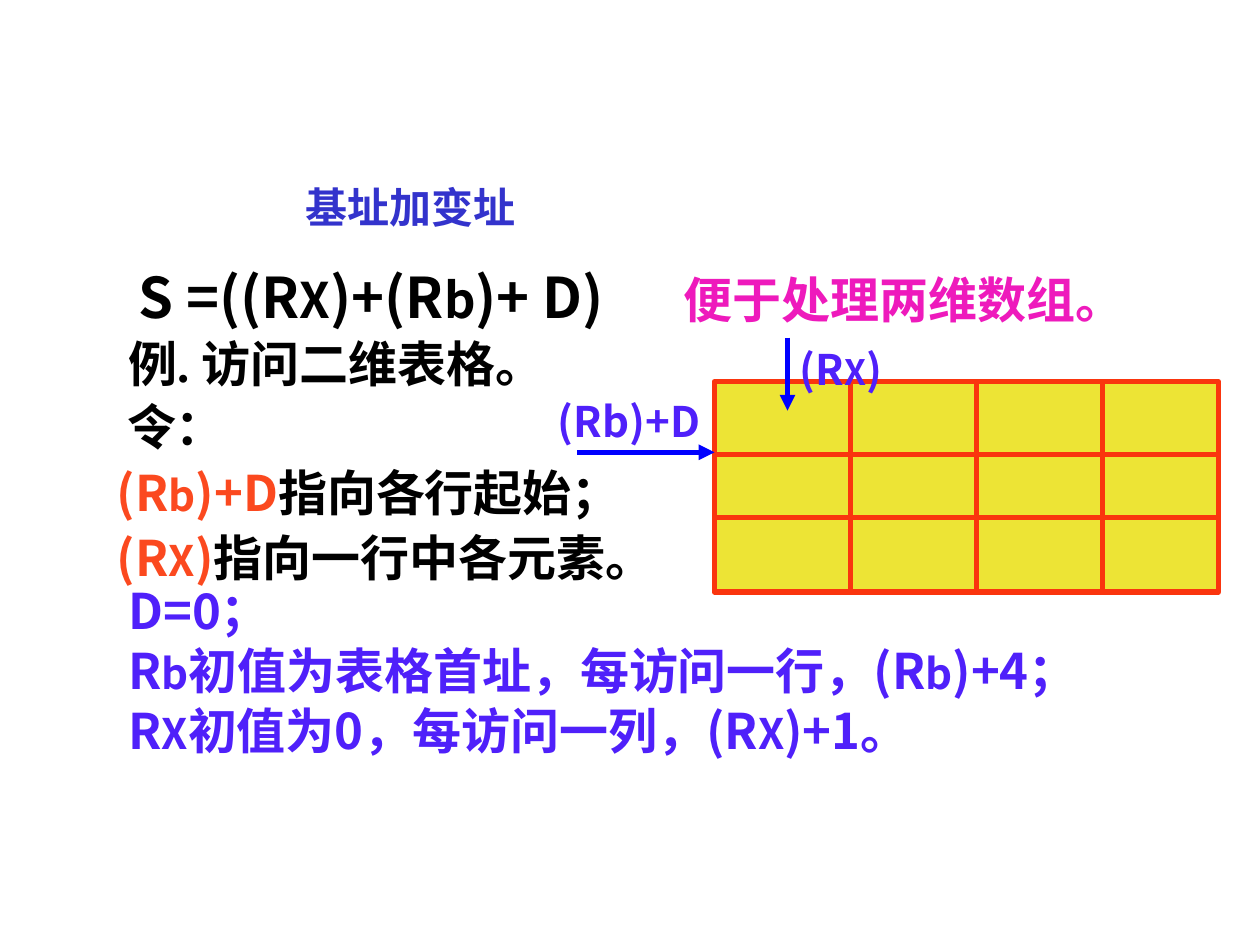
"""Build the slide on base-plus-index addressing of a two-dimensional table."""
from lxml import etree
from pptx import Presentation
from pptx.dml.color import RGBColor
from pptx.enum.shapes import MSO_CONNECTOR, MSO_SHAPE
from pptx.enum.text import MSO_AUTO_SIZE
from pptx.oxml.ns import qn
from pptx.util import Inches, Pt

STRAIGHT = MSO_CONNECTOR.STRAIGHT
RECTANGLE = MSO_SHAPE.RECTANGLE
GROW = MSO_AUTO_SIZE.SHAPE_TO_FIT_TEXT

BLACK = RGBColor(0x00, 0x00, 0x00)
MAGENTA = RGBColor(0xEE, 0x1A, 0xBC)
ORANGE = RGBColor(0xFB, 0x49, 0x1F)
VIOLET = RGBColor(0x4F, 0x20, 0xFA)
INDIGO = RGBColor(0x33, 0x33, 0xCC)
BLUE = RGBColor(0x00, 0x00, 0xFF)
RED = RGBColor(0xFA, 0x35, 0x0E)
YELLOW = RGBColor(0xED, 0xE4, 0x35)

SANS = "Noto Sans CJK SC"
SERIF = "Times New Roman"

TITLE = [[("基址加变址", 24, INDIGO)]]
FORMULA = [[("S =((R", 32, BLACK), ("X", 28, BLACK), (")+(R", 32, BLACK),
            ("b", 28, BLACK), (")+ D)", 32, BLACK)]]
BENEFIT = [[("便于处理两维数组。", 28, MAGENTA)]]
EXAMPLE = [[("例. 访问二维表格。", 28, BLACK)]]
POINTERS = [
    [("令：", 28, BLACK)],
    [("(R", 28, ORANGE), ("b", 24, ORANGE), (")+D", 28, ORANGE),
     ("指向各行起始；", 28, BLACK)],
    [("(R", 28, ORANGE), ("X", 24, ORANGE), (")", 28, ORANGE),
     ("指向一行中各元素。", 28, BLACK)],
]
STEPS = [
    [("D=0；", 28, VIOLET)],
    [("R", 28, VIOLET), ("b", 24, VIOLET),
     ("初值为表格首址，每访问一行，(R", 28, VIOLET),
     ("b", 24, VIOLET), (")+4；", 28, VIOLET)],
    [("R", 28, VIOLET), ("X", 24, VIOLET),
     ("初值为0，每访问一列，(R", 28, VIOLET),
     ("X", 24, VIOLET), (")+1。", 28, VIOLET)],
]
ROW_LABEL = [[("(Rb)+D", 24, VIOLET)]]
COLUMN_LABEL = [[("(R", 24, VIOLET), ("X", 20, VIOLET), (")", 24, VIOLET)]]

GRID_LEFT, GRID_TOP, GRID_WIDTH, GRID_HEIGHT = 5.67, 3.03, 4, 1.67
ROW_LINES = (3.61, 4.11)
COLUMN_LINES = (6.75, 7.75, 8.75)


def add_text(shapes, box, paragraphs, font, spacing=1.0, wrap=True):
    sp = shapes.add_textbox(*map(Inches, box))
    tf = sp.text_frame
    tf.word_wrap = wrap
    tf.auto_size = GROW
    for i, runs in enumerate(paragraphs):
        p = tf.add_paragraph() if i else tf.paragraphs[0]
        p.line_spacing = spacing
        p.space_before = Pt(17.5 if i else 0)
        for text, size, color in runs:
            r = p.add_run()
            r.text = text
            r.font.size = Pt(size)
            r.font.bold = True
            r.font.name = font
            r.font.color.rgb = color
            ea = etree.SubElement(r.font._element, qn("a:ea"))
            ea.set("typeface", SANS)
    return tf


def add_line(shapes, x1, y1, x2, y2, color, arrow=False):
    line = shapes.add_connector(STRAIGHT, *map(Inches, (x1, y1, x2, y2)))
    line.line.color.rgb = color
    line.line.width = Pt(3)
    if arrow:
        etree.SubElement(line.line._get_or_add_ln(), qn("a:tailEnd"), type="triangle")
    etree.SubElement(line._element.spPr, qn("a:effectLst"))


def add_grid(shapes):
    sp = shapes.add_shape(RECTANGLE, *map(
        Inches, (GRID_LEFT, GRID_TOP, GRID_WIDTH, GRID_HEIGHT)))
    sp.shadow.inherit = False
    sp.fill.solid()
    sp.fill.fore_color.rgb = YELLOW
    sp.line.color.rgb = RED
    sp.line.width = Pt(3)
    for y in ROW_LINES:
        add_line(shapes, GRID_LEFT, y, GRID_LEFT + GRID_WIDTH, y, RED)
    for x in COLUMN_LINES:
        add_line(shapes, x, GRID_TOP, x, GRID_TOP + GRID_HEIGHT, RED)


def add_pointer(shapes, ends, box, label):
    add_line(shapes, *ends, BLUE, arrow=True)
    add_text(shapes, box, label, SANS)


def main():
    prs = Presentation()
    prs.slide_width, prs.slide_height = Inches(10), Inches(7.5)
    s = prs.slides.add_slide(prs.slide_layouts[6])
    shapes = s.shapes

    add_text(shapes, (1, 2.18, 4.17, 0.85), FORMULA, SANS, 0.7)
    add_text(shapes, (5.33, 2.09, 3.92, 0.57), BENEFIT, SERIF)
    add_text(shapes, (0.92, 2.76, 3.92, 0.38), EXAMPLE, SERIF, 0.6)
    add_grid(shapes.add_group_shape().shapes)
    tf = add_text(shapes, (0.83, 3.26, 4.58, 1.43), POINTERS, SANS, 0.6)
    tf.paragraphs[0]._p.get_or_add_pPr().set("marL", str(Inches(0.08)))
    add_pointer(shapes.add_group_shape().shapes, (4.58, 3.59, GRID_LEFT, 3.59),
                (4.33, 3.09, 1.33, 0.9), ROW_LABEL)
    add_pointer(shapes.add_group_shape().shapes, (6.25, 2.68, 6.25, 3.26),
                (6.25, 2.68, 1.25, 0.5), COLUMN_LABEL)
    add_text(shapes, (0.92, 4.76, 8.17, 1.29), STEPS, SANS, 0.5)
    add_text(shapes, (2.33, 1.39, 1.9, 0.5), TITLE, SERIF, wrap=False)

    prs.save("out.pptx")


if __name__ == "__main__":
    main()
